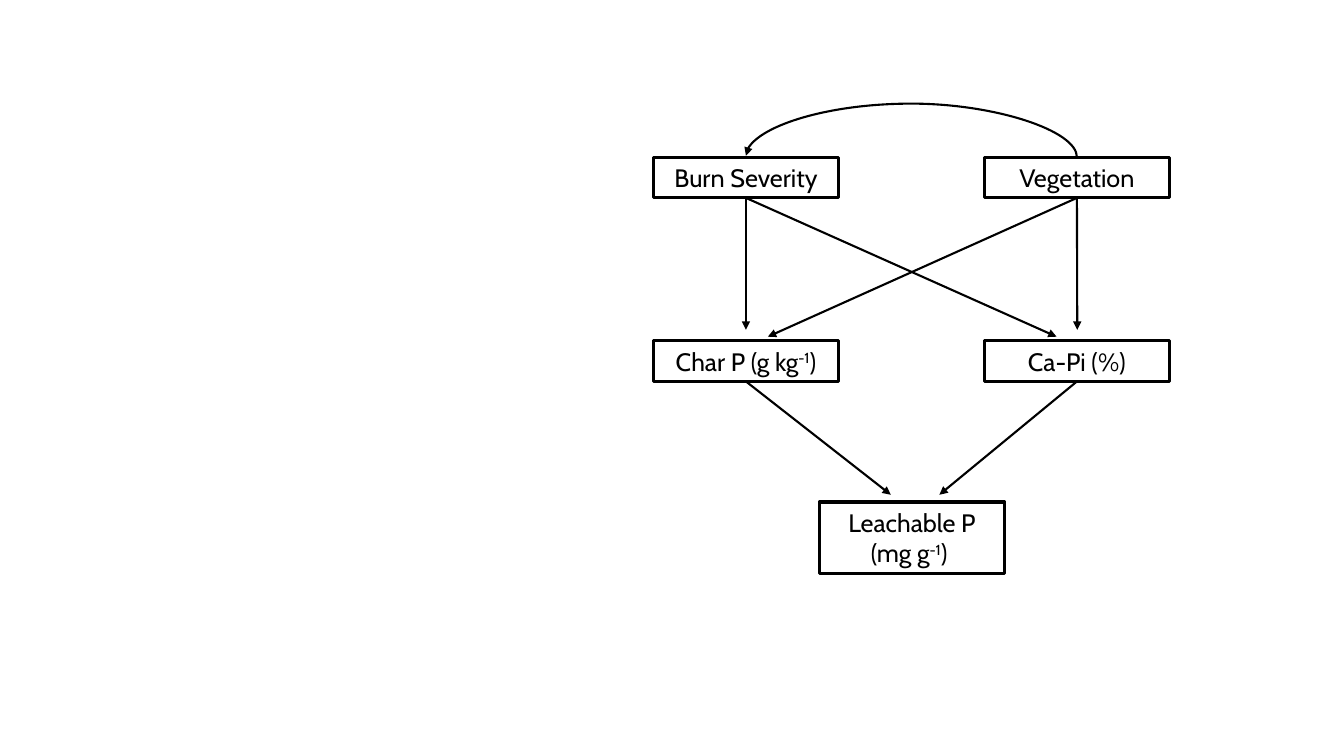
from dataclasses import dataclass

from lxml import etree
from pptx import Presentation, util as u
from pptx.dml.color import RGBColor
from pptx.enum import shapes, text
from pptx.oxml import ns

BLACK = RGBColor(0, 0, 0)
FONT = "Cabin"
BOX_WIDTH = 132.5
LEFT_COLUMN, MIDDLE_COLUMN, RIGHT_COLUMN = 466.6, 585.2, 703
TOP_ROW, MIDDLE_ROW, BOTTOM_ROW = 112.3, 243.4, 358.6
LINE_HEIGHT, TWO_LINE_HEIGHT = 29.08, 50.9
BOTTOM_SIDE = 2


@dataclass
class Variable:
    label: str
    left: float
    top: float
    height: float = LINE_HEIGHT
    exponent: str = ""
    ending: str = ""


@dataclass
class Effect:
    source: str
    end_x: float
    end_y: float


VARIABLES = {
    "burn": Variable("Burn Severity", LEFT_COLUMN, TOP_ROW),
    "vegetation": Variable("Vegetation", RIGHT_COLUMN, TOP_ROW),
    "char": Variable("Char P (g kg", LEFT_COLUMN, MIDDLE_ROW,
                     exponent="-1", ending=")"),
    "calcium": Variable("Ca-Pi (%)", RIGHT_COLUMN, MIDDLE_ROW),
    "leachable": Variable("Leachable P (mg g", MIDDLE_COLUMN, BOTTOM_ROW,
                          TWO_LINE_HEIGHT, "-1", ") "),
}

EFFECTS = [
    Effect("burn", 532.85, 235.6),
    Effect("burn", 754.7, 240.5),
    Effect("vegetation", 769.5, 235.6),
    Effect("vegetation", 548.5, 240.5),
    Effect("char", 636.3, 353.4),
    Effect("calcium", 671, 353.4),
]


def add_box(page, variable: Variable):
    box = page.shapes.add_shape(
        shapes.MSO_SHAPE.RECTANGLE, u.Pt(variable.left), u.Pt(variable.top),
        u.Pt(BOX_WIDTH), u.Pt(variable.height))
    box.shadow.inherit = False
    box.fill.background()
    box.line.color.rgb = BLACK
    box.line.width = u.Pt(2.25)
    frame = box.text_frame
    frame.word_wrap = True
    frame.auto_size = text.MSO_AUTO_SIZE.SHAPE_TO_FIT_TEXT
    para = frame.paragraphs[0]
    para.alignment = text.PP_ALIGN.CENTER
    para.text = variable.label
    if variable.exponent:
        exponent = para.add_run()
        exponent.text = variable.exponent
        exponent.font._element.set("baseline", "30000")
        para.add_run().text = variable.ending
    for span in para.runs:
        span.font.name = FONT
        span.font.size = u.Pt(18)
        span.font.color.rgb = BLACK
    return box


def style_arrow(arrow) -> None:
    arrow.line.color.rgb = BLACK
    arrow.line.width = u.Pt(1.5)
    outline = arrow.line._get_or_add_ln()
    etree.SubElement(outline, ns.qn("a:tailEnd"), type="triangle")
    etree.SubElement(arrow._element.spPr, ns.qn("a:effectLst"))


def add_effect(page, effect: Effect, source) -> None:
    arrow = page.shapes.add_connector(
        shapes.MSO_CONNECTOR.STRAIGHT, source.left, source.top,
        u.Pt(effect.end_x), u.Pt(effect.end_y))
    arrow.begin_connect(source, BOTTOM_SIDE)
    style_arrow(arrow)


def add_arch(page, center_x: float, center_y: float, span: float) -> None:
    """Draw an arch from right to left: a turned S-curve, one point deep."""
    arch = page.shapes.add_connector(
        shapes.MSO_CONNECTOR.CURVE,
        u.Pt(center_x - 0.5), u.Pt(center_y - span / 2),
        u.Pt(center_x + 0.5), u.Pt(center_y + span / 2))
    properties = arch._element.spPr
    frame = properties.find(ns.qn("a:xfrm"))
    frame.set("rot", str(270 * 60000))
    frame.set("flipV", "1")
    adjustments = properties.find(ns.qn("a:prstGeom")).get_or_add_avLst()
    etree.SubElement(adjustments, ns.qn("a:gd"), name="adj1", fmla="val 3857100")
    style_arrow(arch)


def main() -> None:
    deck = Presentation()
    deck.slide_width, deck.slide_height = u.Pt(960), u.Pt(540)
    page = deck.slides.add_slide(deck.slide_layouts[6])

    # Variables
    boxes = {key: add_box(page, variable) for key, variable in VARIABLES.items()}

    # Direct effects
    for effect in EFFECTS:
        add_effect(page, effect, boxes[effect.source])

    # Arch from vegetation to burn severity
    add_arch(page, (LEFT_COLUMN + RIGHT_COLUMN + BOX_WIDTH) / 2,
             TOP_ROW - 0.5, RIGHT_COLUMN - LEFT_COLUMN)

    deck.save("out.pptx")


if __name__ == "__main__":
    main()
